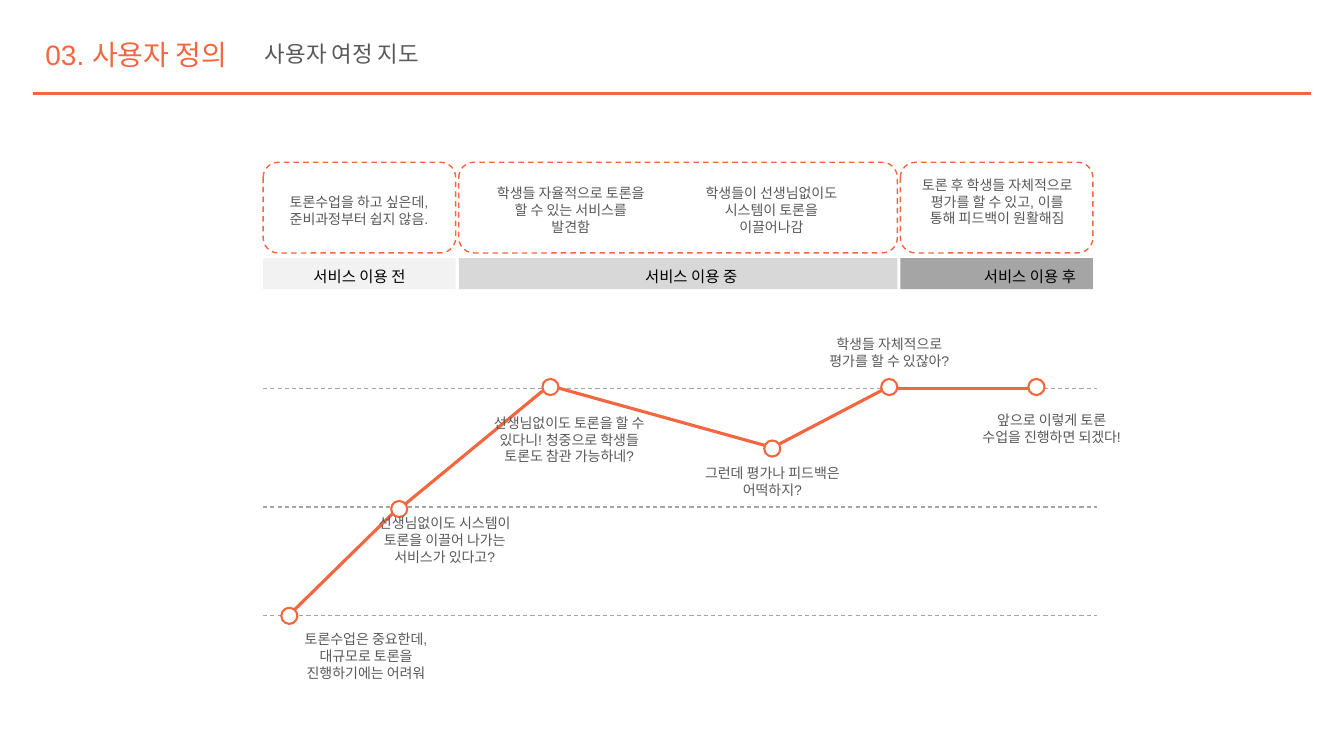
"""Build the user journey map slide."""
from dataclasses import dataclass

from lxml import etree
from pptx import Presentation
from pptx.dml.color import RGBColor
from pptx.enum import dml, shapes, text
from pptx.oxml.ns import qn
from pptx.util import Inches, Pt


@dataclass(frozen=True)
class Theme:
    """Colours, fonts and type sizes."""
    accent: str = "F26640"
    body: str = "595959"
    ink: str = "000000"
    guide: str = "A5A5A5"
    paper: str = "FFFFFF"
    font: str = "Arial"
    band_font: str = "Noto Sans CJK KR"
    title: int = 20
    subtitle: int = 16
    band: int = 11
    note: int = 10


T = Theme()
TITLE = ("03. 사용자 정의", (0.35, 0.24, 2.13, 0.44))
SUBTITLE = ("사용자 여정 지도", (2.53, 0.28, 6.67, 0.37))
STAGES = [(2.61, 1.91, "F2F2F2"), (4.55, 4.35, "D8D8D8"), (8.93, 1.91, "A5A5A5")]
STAGE_NAMES = "서비스 이용 전\t서비스 이용 중\t서비스 이용 후"
STAGE_NAMES_AT = (3.01, 2.51, 7.87, 0.57)
STAGE_TABS = [3.29, 6.65]
LEVELS = [3.85, 5.03, 6.11]
DOT = 0.16
DOTS = [(2.79, 6.03), (3.88, 4.97), (5.38, 3.76), (7.58, 4.37), (8.74, 3.76), (10.2, 3.76)]
PATH_LINES = [
    (2.92, 6.05, 3.96, 5.03),
    (4.02, 5, 5.38, 3.88),
    (5.54, 3.85, 7.59, 4.42),
    (7.72, 4.41, 8.79, 3.85),
    (8.9, 3.85, 10.2, 3.85),
]
NOTES = [
    ("토론수업은 중요한데, 대규모로 토론을 진행하기에는 어려워", (2.86, 6.21, 1.54, 0.61)),
    ("선생님없이도 시스템이 토론을 이끌어 나가는 서비스가 있다고?", (3.64, 5.06, 1.54, 0.77)),
    ("선생님없이도 토론을 할 수 있다니! 청중으로 학생들 토론도 참관 가능하네?", (4.69, 4.06, 1.91, 0.61)),
    ("그런데 평가나 피드백은 어떡하지?", (6.89, 4.56, 1.54, 0.44)),
    ("학생들 자체적으로 평가를 할 수 있잖아?", (8.05, 3.28, 1.54, 0.44)),
    ("앞으로 이렇게 토론 수업을 진행하면 되겠다!", (9.59, 4.03, 1.68, 0.61)),
    ("토론수업을 하고 싶은데, 준비과정부터 쉽지 않음.", (2.7, 1.87, 1.72, 0.44)),
    ("학생들 자율적으로 토론을 할 수 있는 서비스를 발견함", (4.8, 1.78, 1.72, 0.61)),
    ("학생들이 선생님없이도 시스템이 토론을 이끌어나감", (6.79, 1.78, 1.72, 0.61)),
    ("토론 후 학생들 자체적으로 평가를 할 수 있고, 이를 통해 피드백이 원활해짐", (9.03, 1.7, 1.72, 0.77)),
]


def rgb(color):
    return RGBColor.from_string(color)


def set_line(line, color, width, dash=False):
    line.color.rgb = rgb(color)
    line.width = Pt(width)
    if dash:
        line.dash_style = dml.MSO_LINE.DASH


def add_text(slide, words, at, *, size=T.note, color=T.body, font=T.font, align=text.PP_ALIGN.LEFT,
             anchor=text.MSO_ANCHOR.TOP, spacing=None, tabs=(), sp=None):
    box = [Inches(v) for v in at]
    if sp is None:
        sp = slide.shapes.add_textbox(*box)
    else:
        sp.left, sp.top, sp.width, sp.height = box
    tf = sp.text_frame
    tf.word_wrap = True
    tf.auto_size = text.MSO_AUTO_SIZE.SHAPE_TO_FIT_TEXT
    tf.vertical_anchor = anchor
    p = tf.paragraphs[0]
    p.alignment = align
    if spacing:
        p.line_spacing = spacing
    if tabs:
        stops = etree.SubElement(p._p.get_or_add_pPr(), qn("a:tabLst"))
        for pos in tabs:
            etree.SubElement(stops, qn("a:tab"), pos=str(Inches(pos)), algn="l")
    r = p.add_run()
    r.text = words
    r.font.size, r.font.name = Pt(size), font
    r.font.color.rgb = rgb(color)


def add_shape(slide, kind, at, fill=None, line=None):
    sp = slide.shapes.add_shape(kind, *[Inches(v) for v in at])
    sp.shadow.inherit = False
    if fill:
        sp.fill.solid()
        sp.fill.fore_color.rgb = rgb(fill)
    else:
        sp.fill.background()
    if line:
        set_line(sp.line, *line)
    else:
        sp.line.fill.background()


def add_line(slide, ends, *line):
    cx = slide.shapes.add_connector(shapes.MSO_CONNECTOR.STRAIGHT, *[Inches(v) for v in ends])
    set_line(cx.line, *line)
    etree.SubElement(cx._element.spPr, qn("a:effectLst"))


def main():
    prs = Presentation()
    prs.slide_width, prs.slide_height = Inches(13.33), Inches(7.5)
    slide = prs.slides.add_slide(prs.slide_layouts[5])
    kinds = shapes.MSO_SHAPE
    heading = dict(anchor=text.MSO_ANCHOR.MIDDLE, spacing=1.5)

    add_text(slide, *TITLE, size=T.title, color=T.accent, sp=slide.shapes.title, **heading)
    add_text(slide, *SUBTITLE, size=T.subtitle, **heading)
    add_line(slide, (0.33, 0.93, 13, 0.93), T.accent, 2)

    for left, width, fill in STAGES:
        add_shape(slide, kinds.RECTANGLE, (left, 2.56, width, 0.31), fill)
        add_shape(slide, kinds.ROUNDED_RECTANGLE, (left, 1.61, width, 0.9), line=(T.accent, 1, True))
    add_text(slide, STAGE_NAMES, STAGE_NAMES_AT, size=T.band, color=T.ink, font=T.band_font,
             spacing=1.5, tabs=STAGE_TABS)

    for y in LEVELS:
        add_line(slide, (2.61, y, 10.88, y), T.guide, 0.75, True)
    for ends in PATH_LINES:
        add_line(slide, ends, T.accent, 2.25)
    for left, top in DOTS:
        add_shape(slide, kinds.OVAL, (left, top, DOT, DOT), T.paper, (T.accent, 1.5))
    for words, at in NOTES:
        add_text(slide, words, at, align=text.PP_ALIGN.CENTER)

    prs.save("out.pptx")


if __name__ == "__main__":
    main()
